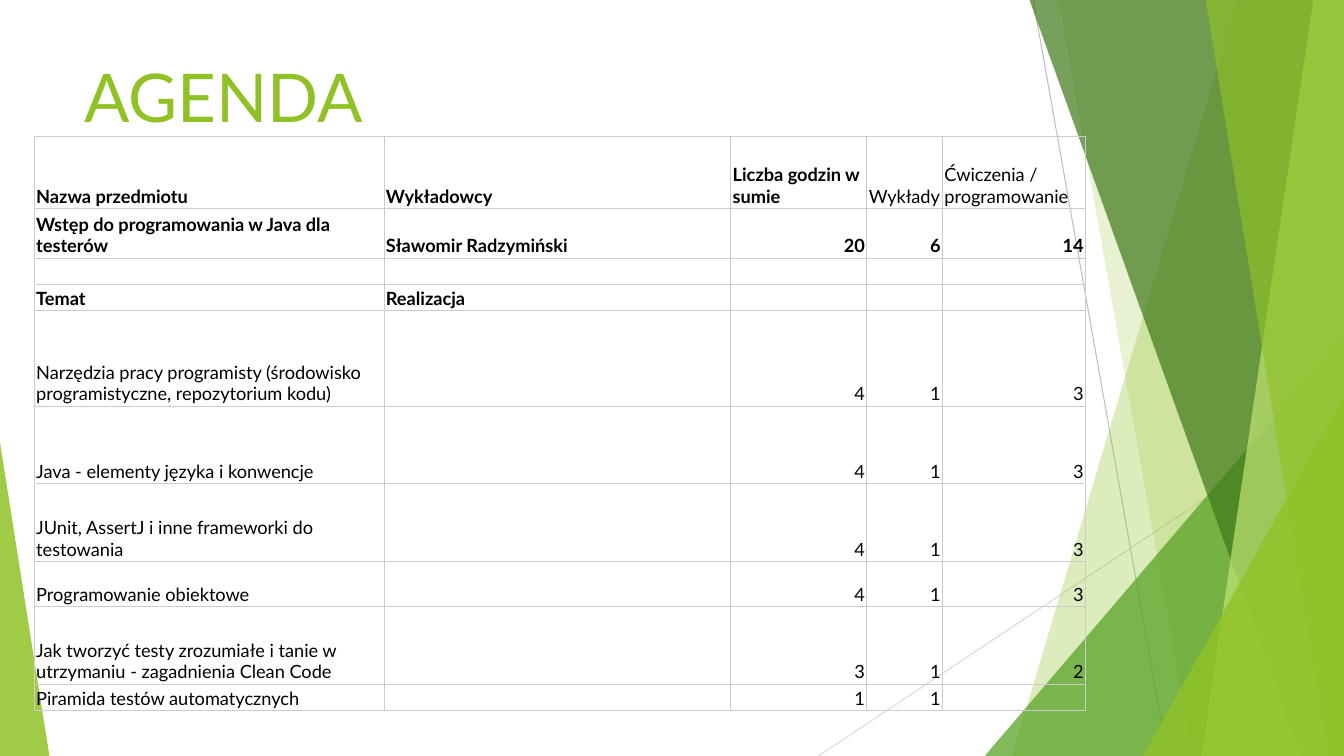
from lxml.etree import SubElement
from pptx import Presentation
from pptx.dml.color import RGBColor
from pptx.enum.shapes import MSO_CONNECTOR, MSO_SHAPE
from pptx.enum.text import MSO_ANCHOR, MSO_AUTO_SIZE, PP_ALIGN
from pptx.oxml import parse_xml
from pptx.oxml.ns import nsdecls, qn
from pptx.util import Pt

FONT = "Lato"
GREEN = "90C226"
TOP, BOTTOM, RIGHT = -0.7, 540, 960

RAYS = [
    ((738, 0), (833.8, 540), "BFBFBF"),
    ((960, 290.2), (584.6, 540), "D9D9D9"),
]
BACK_BANDS = [(884.2, 722.9, GREEN, 30), (756, 851.8, GREEN, 20)]
FRONT_BANDS = [
    (735.1, 929.5, "3F7819", 70),
    (938.2, 858.2, "C0E474", 70),
    (861.1, 949, GREEN, 65),
]
MIDDLE_TRIANGLE = (703.4, 239.8, 256.6, 1, "54A021", 72)
CORNER_TRIANGLES = [
    (816.5, 283, 143.5, 1, GREEN, 80),
    (0, 316.1, 35.3, 0, GREEN, 85),
]

COLUMNS = [249.8, 247.7, 97.2, 54, 102.2]
HEIGHTS = [51.8, 35.3, 18.7, 18.7, 68.4, 55.4, 55.4, 32.4, 55.4, 18.7]
ROWS = [
    ["Nazwa przedmiotu", "Wykładowcy", "Liczba godzin w sumie", "Wykłady",
     "Ćwiczenia / programowanie"],
    ["Wstęp do programowania w Java dla testerów", "Sławomir Radzymiński",
     "20", "6", "14"],
    ["", "", "", "", ""],
    ["Temat", "Realizacja", "", "", ""],
    ["Narzędzia pracy programisty (środowisko programistyczne, repozytorium kodu)",
     "", "4", "1", "3"],
    ["Java - elementy języka i konwencje", "", "4", "1", "3"],
    ["JUnit, AssertJ i inne frameworki do testowania", "", "4", "1", "3"],
    ["Programowanie obiektowe", "", "4", "1", "3"],
    ["Jak tworzyć testy zrozumiałe i tanie w utrzymaniu - zagadnienia Clean Code",
     "", "3", "1", "2"],
    ["Piramida testów automatycznych", "", "1", "1", ""],
]


def rgb(color):
    return RGBColor.from_string(color)


def add_run(p, text, size, color, bold=False):
    r = p.add_run()
    r.text = text
    r.font.name = FONT
    r.font.size = Pt(size)
    r.font.bold = bold
    r.font.color.rgb = rgb(color)


def paint(sp, color, opacity):
    """Give a shape a translucent fill with no line or shadow."""
    sp.shadow.inherit = False
    sp.line.fill.background()
    sp.fill.solid()
    sp.fill.fore_color.rgb = rgb(color)
    clr = sp.element.spPr.find(qn("a:solidFill")).find(qn("a:srgbClr"))
    SubElement(clr, qn("a:alpha"), val=str(opacity * 1000))


def add_ray(s, start, end, color):
    ends = [Pt(v) for v in (*start, *end)]
    line = s.shapes.add_connector(MSO_CONNECTOR.STRAIGHT, *ends)
    line.line.color.rgb = rgb(color)
    line.line.width = Pt(0.75)
    SubElement(line.element.spPr, qn("a:effectLst"))


def add_band(s, top_x, bottom_x, color, opacity):
    fb = s.shapes.build_freeform(Pt(top_x), Pt(TOP))
    corners = [(RIGHT, TOP), (RIGHT, BOTTOM), (bottom_x, BOTTOM)]
    fb.add_line_segments([(Pt(x), Pt(y)) for x, y in corners])
    paint(fb.convert_to_shape(), color, opacity)


def add_triangle(s, left, top, width, apex, color, opacity):
    sp = s.shapes.add_shape(MSO_SHAPE.ISOSCELES_TRIANGLE, Pt(left), Pt(top),
                            Pt(width), Pt(BOTTOM - top))
    sp.adjustments[0] = apex
    paint(sp, color, opacity)


def add_backdrop(s):
    for ray in RAYS:
        add_ray(s, *ray)
    for band in BACK_BANDS:
        add_band(s, *band)
    add_triangle(s, *MIDDLE_TRIANGLE)
    for band in FRONT_BANDS:
        add_band(s, *band)
    for triangle in CORNER_TRIANGLES:
        add_triangle(s, *triangle)


def set_title(s, text):
    title = s.shapes.title
    s.shapes.element.append(title.element)
    title.left, title.top = Pt(53.3), Pt(36)
    title.width, title.height = Pt(676.8), Pt(103.7)
    tf = title.text_frame
    tf.word_wrap = True
    tf.auto_size = MSO_AUTO_SIZE.NONE
    tf.vertical_anchor = MSO_ANCHOR.TOP
    p = tf.paragraphs[0]
    p.alignment = PP_ALIGN.LEFT
    add_run(p, text, 48, GREEN)


def add_borders(cell):
    tc_pr = cell._tc.get_or_add_tcPr()
    for i, side in enumerate(("lnL", "lnR", "lnT", "lnB")):
        tc_pr.insert(i, parse_xml(
            f'<a:{side} {nsdecls("a")} w="{Pt(0.6)}"><a:solidFill>'
            f'<a:srgbClr val="CCCCCC"/></a:solidFill></a:{side}>'))


def fill_cell(cell, text, bold):
    cell.fill.background()
    add_borders(cell)
    cell.margin_left = cell.margin_right = Pt(1.4)
    cell.margin_top = cell.margin_bottom = Pt(0.9)
    cell.vertical_anchor = MSO_ANCHOR.BOTTOM
    p = cell.text_frame.paragraphs[0]
    if text:
        p.alignment = PP_ALIGN.RIGHT if text.isdigit() else PP_ALIGN.LEFT
        add_run(p, text, 13, "000000", bold)
    else:
        SubElement(p._p, qn("a:endParaRPr"), sz="1300")


def add_agenda(s):
    frame = s.shapes.add_table(len(ROWS), len(COLUMNS), Pt(24.5), Pt(97.2),
                               Pt(sum(COLUMNS)), Pt(sum(HEIGHTS)))
    tbl = frame.table
    tbl.first_row = tbl.horz_banding = False
    for col, width in zip(tbl.columns, COLUMNS):
        col.width = Pt(width)
    for i, (row, height) in enumerate(zip(tbl.rows, HEIGHTS)):
        row.height = Pt(height)
        for j, text in enumerate(ROWS[i]):
            bold = i in (1, 3) or (i == 0 and j < 3)
            fill_cell(tbl.cell(i, j), text, bold)


def main():
    prs = Presentation()
    prs.slide_width, prs.slide_height = Pt(960), Pt(540)
    s = prs.slides.add_slide(prs.slide_layouts[5])
    add_backdrop(s)
    set_title(s, "AGENDA")
    add_agenda(s)
    prs.save("out.pptx")


if __name__ == "__main__":
    main()
